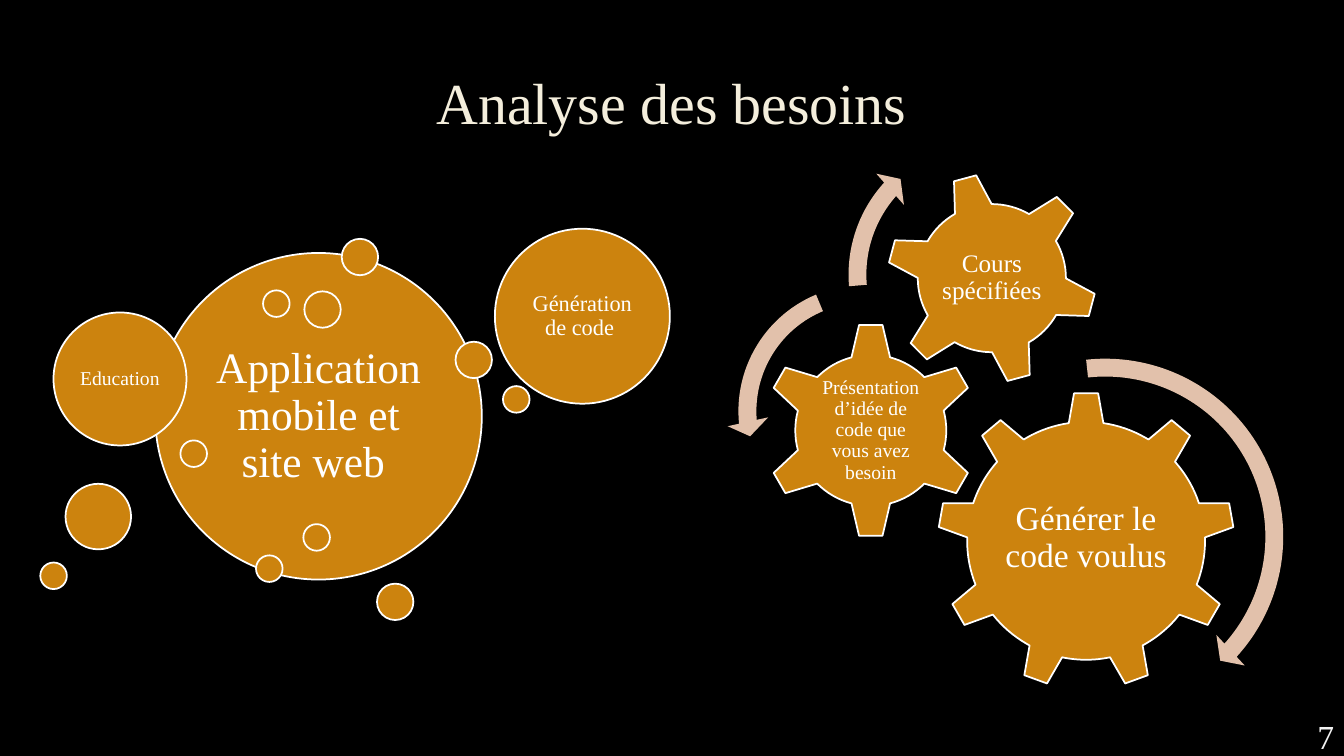
"""Build the needs analysis slide with its bubbles and gears."""
from dataclasses import dataclass
from typing import Optional

from pptx import Presentation
from pptx.dml.color import RGBColor
from pptx.enum.shapes import MSO_SHAPE
from pptx.enum.text import MSO_ANCHOR, PP_ALIGN
from pptx.shapes.autoshape import Shape
from pptx.slide import Slide
from pptx.util import Pt

BLACK = RGBColor(0x00, 0x00, 0x00)
WHITE = RGBColor(0xFF, 0xFF, 0xFF)
CREAM = RGBColor(0xF4, 0xEE, 0xDC)
PALE = RGBColor(0xF2, 0xF2, 0xF2)
AMBER = RGBColor(0xCC, 0x83, 0x0E)
PEACH = RGBColor(0xE2, 0xC1, 0xAB)
FONT = "Times New Roman"
SMALL, TINY = 26, 19
INNER = 0.5 ** 0.5


@dataclass
class Label:
    words: str
    size: float
    wide: float
    high: float
    pad: float = 2
    rise: float = 0


@dataclass
class Disc:
    left: float
    top: float
    width: float
    label: Optional[Label] = None
    kind: MSO_SHAPE = MSO_SHAPE.OVAL
    turn: float = 0


@dataclass
class Arrow:
    left: float
    top: float
    width: float
    kind: MSO_SHAPE
    bends: tuple[float, ...]


def bubble(left: float, top: float, width: float, words: str, size: float, pad: float) -> Disc:
    """Return a round disc whose label fills its inner square."""
    side = width * INNER
    return Disc(left, top, width, Label(words, size, side, side, pad))


GEARS = [
    Disc(669.6, 280.1, 212.4, Label("Générer le code voulus", 24, 126.7, 108.7, rise=2),
         MSO_SHAPE.GEAR_9),
    Disc(545, 230.4, 154.1,
         Label("Présentation d’idée de code que vous avez besoin", 14, 76.3, 76.3, 1.4),
         MSO_SHAPE.GEAR_6),
    Disc(632.9, 123.1, 151.2, Label("Cours spécifiées", 18, 85, 85), MSO_SHAPE.GEAR_6, 345),
]
ARROWS = [
    Arrow(653.8, 247.7, 271.4, MSO_SHAPE.CIRCULAR_ARROW,
          (0.047, 2.99, 25.308, 158.302, 0.055)),
    Arrow(519.1, 195.1, 197.3, MSO_SHAPE.LEFT_CIRCULAR_ARROW,
          (0.065, 4.3, 104.891, 148.378, 0.075)),
    Arrow(597.6, 90, 212.4, MSO_SHAPE.CIRCULAR_ARROW,
          (0.06, 3.941, 133.138, 105.082, 0.07)),
]
BUBBLES = [
    bubble(110.9, 180.7, 233.3, "Application mobile et site web ", 31, 9.4),
    Disc(244.1, 170.6, SMALL),
    Disc(182.9, 396.7, TINY),
    Disc(359.3, 275.8, TINY),
    Disc(269.3, 416.9, SMALL),
    Disc(187.9, 207.4, TINY),
    Disc(128.9, 314.6, TINY),
    bubble(38.2, 223.2, 95, "Education", 14, 4.3),
    Disc(217.4, 208.1, SMALL),
    Disc(46.8, 345.6, 46.8),
    bubble(353.5, 163.4, 125, "Génération de code ", 16, 5),
    Disc(325.4, 244.1, SMALL),
    Disc(28.8, 401.8, TINY),
    Disc(216.7, 374.4, TINY),
]


def write(slide: Slide, left: float, top: float, label: Label, tint: RGBColor = WHITE,
          align: PP_ALIGN = PP_ALIGN.CENTER, lead: float = 0.9) -> None:
    """Add a text box holding one label, centred in height."""
    box = slide.shapes.add_textbox(Pt(left), Pt(top), Pt(label.wide), Pt(label.high))
    frame = box.text_frame
    frame.word_wrap = True
    frame.vertical_anchor = MSO_ANCHOR.MIDDLE
    frame.margin_left = frame.margin_right = Pt(label.pad)
    frame.margin_top = frame.margin_bottom = Pt(label.pad)
    line = frame.paragraphs[0]
    line.alignment = align
    line.line_spacing = lead
    run = line.add_run()
    run.text = label.words
    run.font.name = FONT
    run.font.size = Pt(label.size)
    run.font.color.rgb = tint


def square(slide: Slide, part: Disc | Arrow, tint: RGBColor) -> Shape:
    """Add a flat filled shape as high as it is wide."""
    side = Pt(part.width)
    shape = slide.shapes.add_shape(part.kind, Pt(part.left), Pt(part.top), side, side)
    shape.shadow.inherit = False
    shape.fill.solid()
    shape.fill.fore_color.rgb = tint
    return shape


def draw_disc(slide: Slide, disc: Disc) -> None:
    """Draw a bubble or gear, and its label if it has one."""
    shape = square(slide, disc, AMBER)
    shape.rotation = disc.turn
    shape.line.color.rgb = WHITE
    shape.line.width = Pt(1.25)
    label = disc.label
    if label:
        left = disc.left + (disc.width - label.wide) / 2
        top = disc.top + (disc.width - label.high) / 2 - label.rise
        write(slide, left, top, label)


def draw_arrow(slide: Slide, arrow: Arrow) -> None:
    """Draw a curved arrow without an outline."""
    shape = square(slide, arrow, PEACH)
    shape.line.fill.background()
    for index, bend in enumerate(arrow.bends):
        shape.adjustments[index] = bend


def main() -> None:
    """Build and save the slide."""
    deck = Presentation()
    deck.slide_width, deck.slide_height = Pt(960), Pt(540)
    slide = deck.slides.add_slide(deck.slide_layouts[6])
    slide.background.fill.solid()
    slide.background.fill.fore_color.rgb = BLACK
    write(slide, 72, 48.2, Label("Analyse des besoins", 41.4, 815, 54, 3.6), CREAM)
    for gear in GEARS:
        draw_disc(slide, gear)
    for arrow in ARROWS:
        draw_arrow(slide, arrow)
    for disc in BUBBLES:
        draw_disc(slide, disc)
    write(slide, 900.7, 511.2, Label("7", 24, 59.3, 28.8, 7.2), PALE, PP_ALIGN.RIGHT, 1)
    deck.save("out.pptx")


if __name__ == "__main__":
    main()
